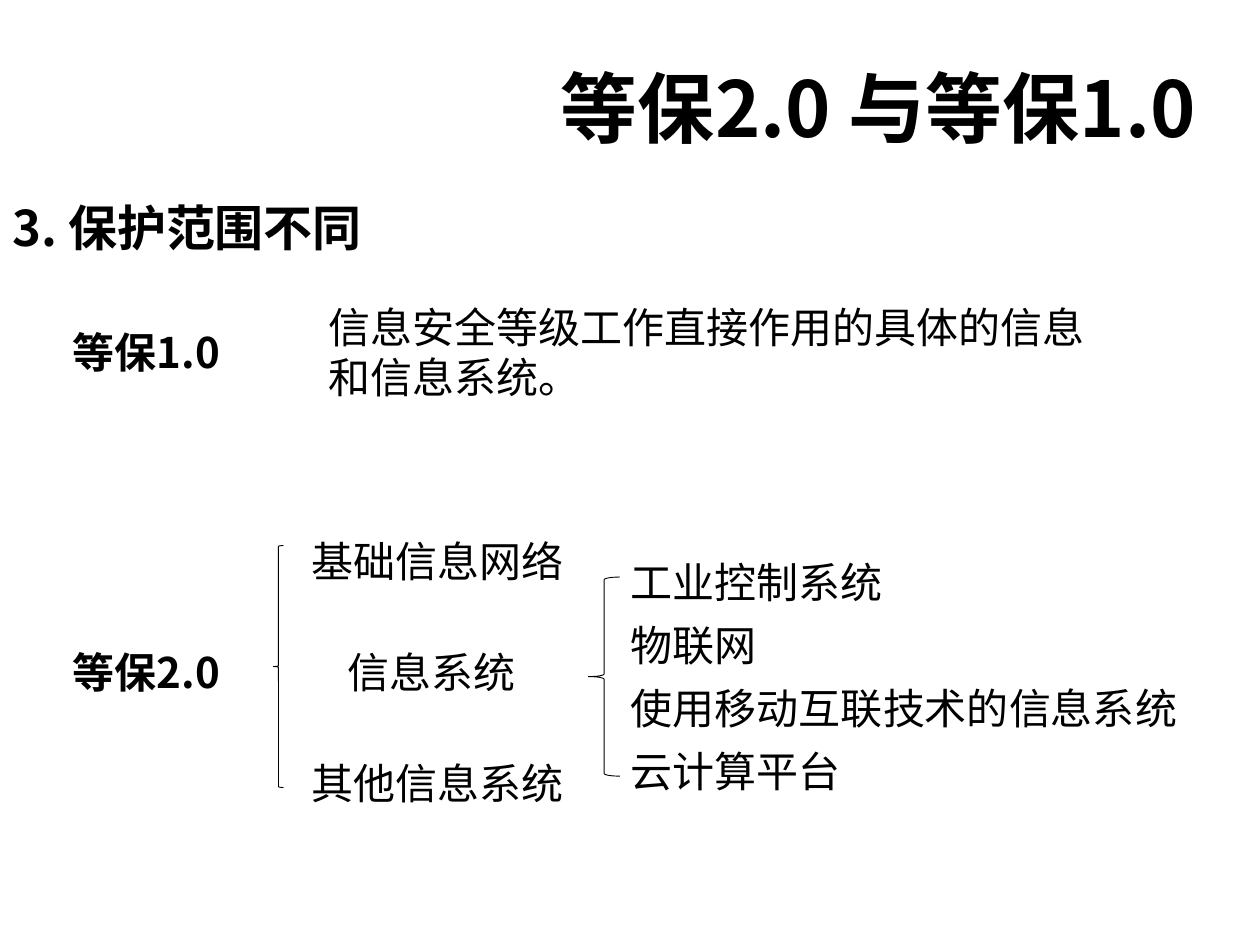
from lxml import etree
from pptx import Presentation
from pptx import util as u
from pptx.dml.color import RGBColor
from pptx.enum import shapes, text
from pptx.oxml import ns

BLACK = RGBColor(0, 0, 0)
FONT = "Noto Sans CJK JP"
LINE_HEIGHT = 0.5


def add_span(para, wording, size, bold=False):
    span = para.add_run()
    span.text = wording
    span.font.size = u.Pt(size)
    span.font.bold = bold
    span.font.color.rgb = BLACK
    span.font.name = FONT
    properties = span.font._element
    etree.SubElement(properties, ns.qn("a:ea"), typeface=FONT)


def set_title(page, wording):
    title = page.shapes.title
    title.left, title.top = u.Inches(1.17), u.Inches(0.58)
    title.width, title.height = u.Inches(8.42), u.Inches(0.53)
    frame = title.text_frame
    frame.auto_size = text.MSO_AUTO_SIZE.NONE
    frame.vertical_anchor = text.MSO_ANCHOR.MIDDLE
    para = frame.paragraphs[0]
    para.alignment = text.PP_ALIGN.RIGHT
    add_span(para, wording, 44, True)


def add_label(page, wording, left, top, width, height=LINE_HEIGHT, size=24, bold=False):
    box = page.shapes.add_textbox(
        u.Inches(left), u.Inches(top), u.Inches(width), u.Inches(height)
    )
    box.text_frame.word_wrap = True
    add_span(box.text_frame.paragraphs[0], wording, size, bold)


def add_brace(page, left, top, width, height):
    brace = page.shapes.add_shape(
        shapes.MSO_SHAPE.LEFT_BRACE,
        u.Inches(left), u.Inches(top), u.Inches(width), u.Inches(height),
    )
    brace.shadow.inherit = False
    brace.fill.background()
    brace.line.color.rgb = BLACK
    brace.line.width = u.Pt(0.5)


def main():
    deck = Presentation()
    deck.slide_width, deck.slide_height = u.Inches(10), u.Inches(7.5)
    page = deck.slides.add_slide(deck.slide_layouts[5])

    set_title(page, "等保2.0 与等保1.0")
    add_label(page, "3. 保护范围不同", 0, 1.52, 3.94, 0.57, 28, True)
    add_label(page, "信息安全等级工作直接作用的具体的信息和信息系统。", 2.51, 2.34, 6.49, 0.9)

    for version, top in (("等保1.0", 2.54), ("等保2.0", 5.08)):
        add_label(page, version, 0.48, top, 1.52, bold=True)

    scopes = (("基础信息网络", 2.28), ("信息系统", 1.7), ("其他信息系统", 2.28))
    for row, (scope, width) in enumerate(scopes):
        add_label(page, scope, 3.51 - width / 2, 4.2 + 0.88 * row, width)

    systems = ("工业控制系统", "物联网", "使用移动互联技术的信息系统", "云计算平台")
    for row, system in enumerate(systems):
        add_label(page, system, 4.91, 4.37 + 0.5 * row, 4.57)

    add_brace(page, 2.17, 4.33, 0.08, 1.92)
    add_brace(page, 4.67, 4.58, 0.25, 1.58)

    deck.save("out.pptx")


if __name__ == "__main__":
    main()
